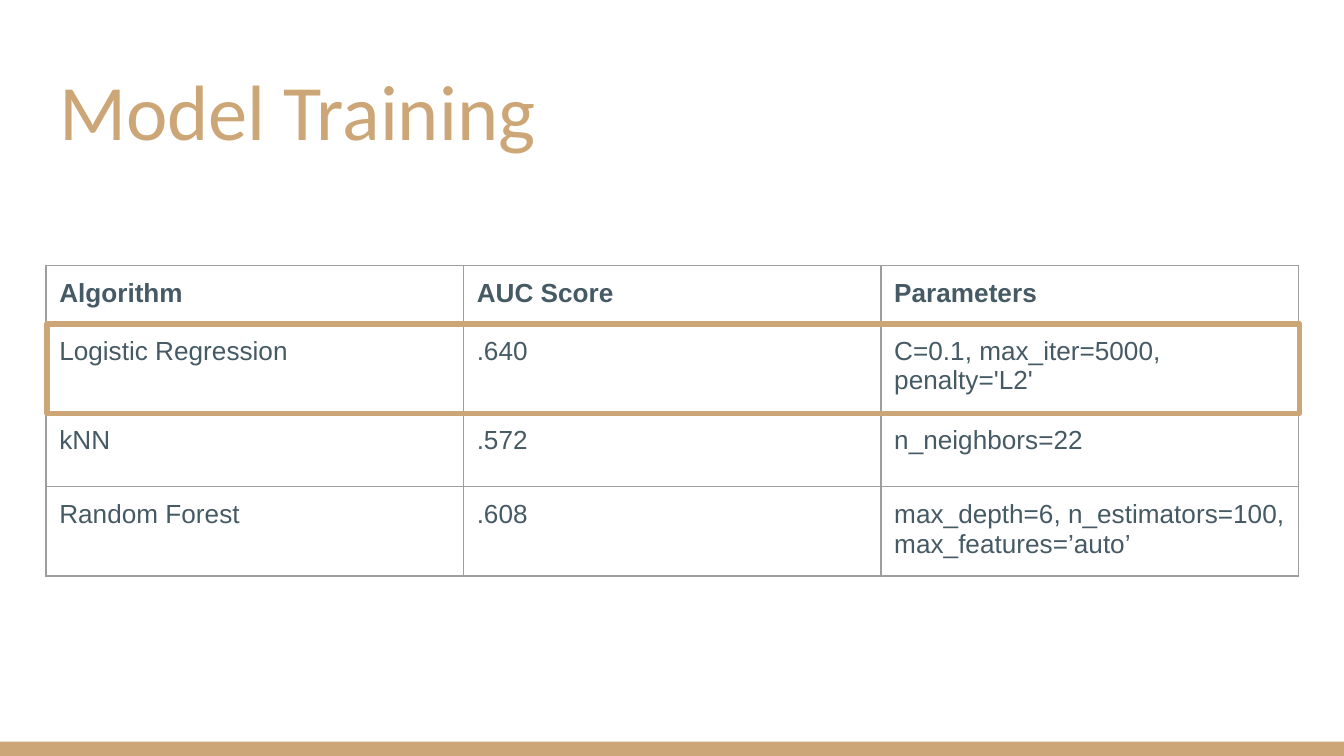
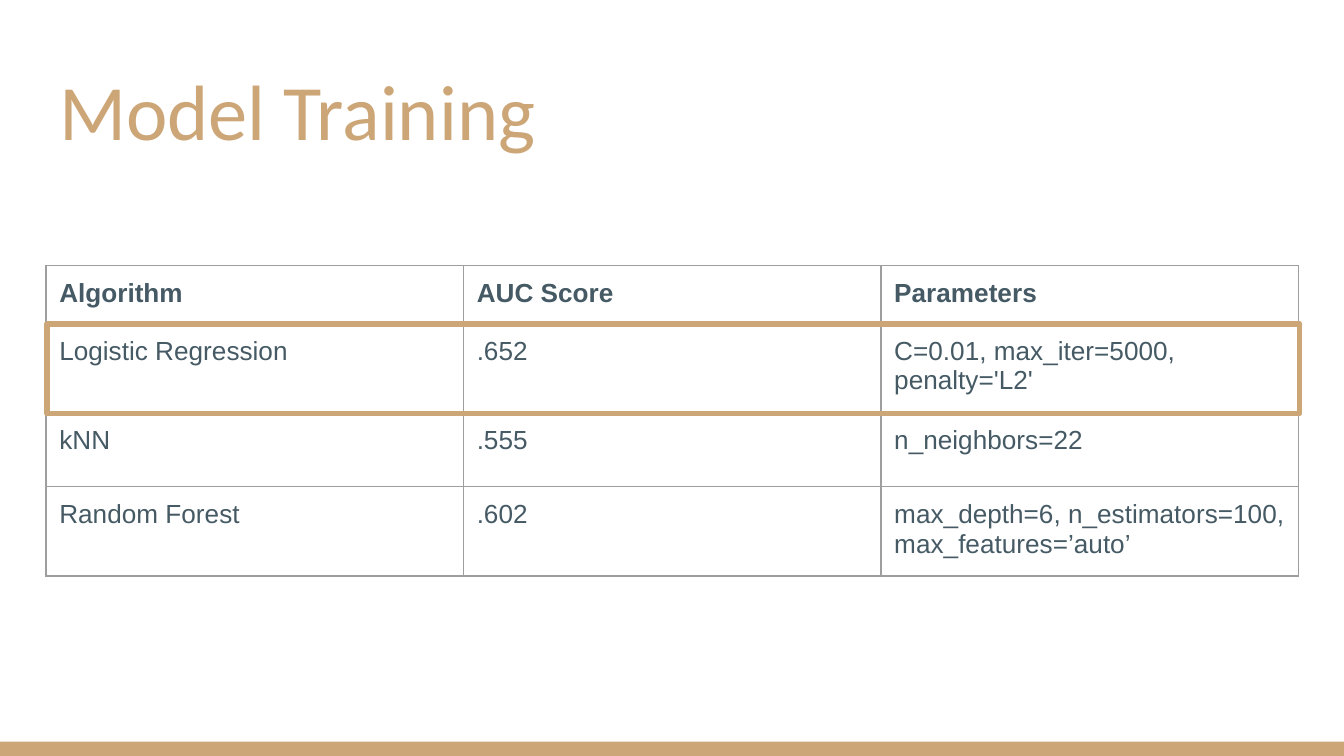
import lxml.etree
import pptx
import pptx.dml.color
import pptx.enum.shapes
import pptx.enum.text
import pptx.oxml.ns
import pptx.util

Cm, Pt = pptx.util.Cm, pptx.util.Pt

TITLE = "Model Training"
HEADER = ("Algorithm", "AUC Score", "Parameters")
FOREST_PARAMETERS = "max_depth=6, n_estimators=100, max_features=’auto’"
RESULTS = [
    [
        ("Logistic Regression", ".640", "C=0.1, max_iter=5000, penalty='L2'"),
        ("kNN", ".572", "n_neighbors=22"),
        ("Random Forest", ".608", FOREST_PARAMETERS),
    ],
    [
        ("Logistic Regression", ".652", "C=0.01, max_iter=5000, penalty='L2'"),
        ("kNN", ".555", "n_neighbors=22"),
        ("Random Forest", ".602", FOREST_PARAMETERS),
    ],
]

GOLD, SLATE, GRAY = "CCA677", "455A64", "9E9E9E"
TITLE_FONT = {"name": "Calibri", "size": Pt(42), "bold": False}
CELL_FONT = {"name": "Arial", "size": Pt(14), "bold": False}
HEADER_FONT = {**CELL_FONT, "bold": True}

PAGE_WIDTH, PAGE_HEIGHT = Cm(25.4), Cm(14.29)
BAND_HEIGHT = Cm(0.27)
LEFT, CONTENT_WIDTH = Cm(0.87), Cm(23.67)
TITLE_TOP, TITLE_HEIGHT = Cm(0.9), Cm(2.3)
TABLE_TOP = Cm(5.02)
ROW_HEIGHTS = (Cm(1.07), Cm(1.61), Cm(1.4), Cm(1.61))
FRAME_TOP, FRAME_HEIGHT = Cm(6.12), Cm(1.7)
INSET = Cm(0.25)
MARGINS = {f"margin_{side}": INSET for side in ("left", "right", "top", "bottom")}


def color(value):
    return pptx.dml.color.RGBColor.from_string(value)


def set_values(target, values):
    for name, value in values.items():
        setattr(target, name, value)


def write(frame, text, font, ink):
    span = frame.paragraphs[0].add_run()
    span.text = text
    set_values(span.font, font)
    span.font.color.rgb = color(ink)


def add_rectangle(page, left, top, width, height):
    box = page.shapes.add_shape(
        pptx.enum.shapes.MSO_SHAPE.RECTANGLE, left, top, width, height)
    box.shadow.inherit = False
    return box


def add_band(page):
    band = add_rectangle(page, 0, PAGE_HEIGHT - BAND_HEIGHT, PAGE_WIDTH, BAND_HEIGHT)
    band.fill.solid()
    band.fill.fore_color.rgb = color(GOLD)
    band.line.fill.background()


def add_title(page):
    box = page.shapes.add_textbox(LEFT, TITLE_TOP, CONTENT_WIDTH, TITLE_HEIGHT)
    frame = box.text_frame
    set_values(frame, {**MARGINS, "word_wrap": True,
                       "vertical_anchor": pptx.enum.text.MSO_ANCHOR.BOTTOM})
    write(frame, TITLE, TITLE_FONT, GOLD)


def add_borders(cell):
    properties = cell._tc.get_or_add_tcPr()
    tag = pptx.oxml.ns.qn
    for side in ("a:lnL", "a:lnR", "a:lnT", "a:lnB"):
        line = lxml.etree.SubElement(properties, tag(side), w=str(Pt(0.75)))
        fill = lxml.etree.SubElement(line, tag("a:solidFill"))
        lxml.etree.SubElement(fill, tag("a:srgbClr"), val=GRAY)


def add_results(page, results):
    rows = [HEADER, *results]
    table = page.shapes.add_table(len(rows), len(HEADER), LEFT, TABLE_TOP,
                                  CONTENT_WIDTH, sum(ROW_HEIGHTS)).table
    set_values(table, {"first_row": False, "horz_banding": False})
    for index, values in enumerate(rows):
        table.rows[index].height = ROW_HEIGHTS[index]
        for column, text in enumerate(values):
            cell = table.cell(index, column)
            set_values(cell, MARGINS)
            add_borders(cell)
            cell.fill.background()
            write(cell.text_frame, text, CELL_FONT if index else HEADER_FONT, SLATE)


def add_best_frame(page):
    """Outline the row of the best algorithm."""
    frame = add_rectangle(page, LEFT + Cm(0.02), FRAME_TOP, CONTENT_WIDTH, FRAME_HEIGHT)
    frame.fill.background()
    frame.line.color.rgb = color(GOLD)
    frame.line.width = Pt(3)
    outline = frame.line._get_or_add_ln()
    lxml.etree.SubElement(outline, pptx.oxml.ns.qn("a:round"))


def main():
    deck = pptx.Presentation()
    set_values(deck, {"slide_width": PAGE_WIDTH, "slide_height": PAGE_HEIGHT})
    for results in RESULTS:
        page = deck.slides.add_slide(deck.slide_layouts[6])
        add_band(page)
        add_title(page)
        add_results(page, results)
        add_best_frame(page)
    deck.save("out.pptx")


if __name__ == "__main__":
    main()
